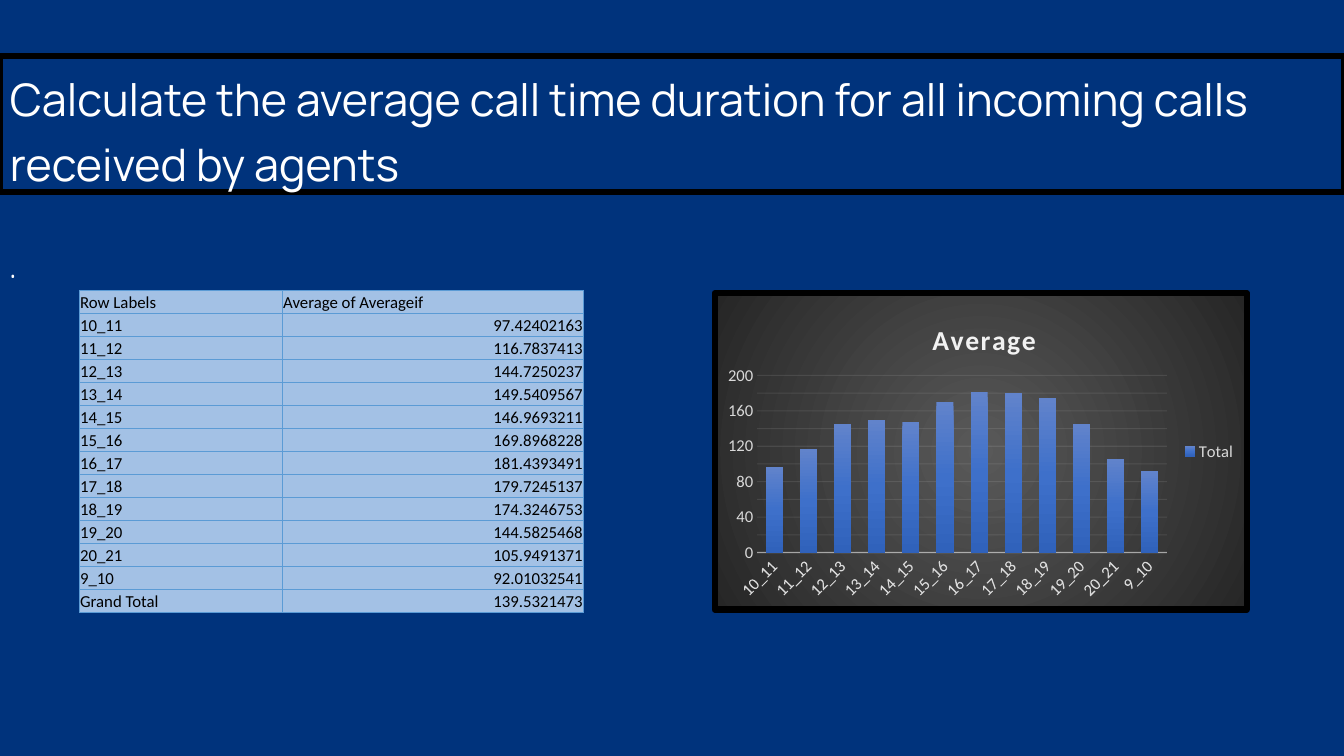
from lxml import etree
from pptx import Presentation
from pptx.chart.data import CategoryChartData
from pptx.dml.color import RGBColor
from pptx.enum.chart import XL_CHART_TYPE as ChartType
from pptx.enum.chart import XL_LEGEND_POSITION as LegendPosition
from pptx.enum.chart import XL_TICK_MARK as TickMark
from pptx.enum.shapes import MSO_SHAPE as ShapeType
from pptx.enum.text import MSO_ANCHOR as Anchor
from pptx.enum.text import MSO_AUTO_SIZE as AutoSize
from pptx.enum.text import PP_ALIGN as Align
from pptx.oxml import parse_xml
from pptx.oxml.ns import nsdecls, qn
from pptx.util import Pt

NAVY = RGBColor(0x00, 0x33, 0x7C)
WHITE = RGBColor(0xFF, 0xFF, 0xFF)
BLACK = RGBColor(0x00, 0x00, 0x00)
CELL_BLUE = RGBColor(0xA3, 0xC1, 0xE5)
BORDER_BLUE = RGBColor(0x5B, 0x9B, 0xD5)
LABEL_GREY = RGBColor(0xD9, 0xD9, 0xD9)
PALE_GREY = RGBColor(0xF2, 0xF2, 0xF2)
PANEL_MID = RGBColor(0x59, 0x59, 0x59)
PANEL_EDGE = RGBColor(0x26, 0x26, 0x26)
BAR_TOP = RGBColor(0x61, 0x83, 0xCB)
BAR_MIDDLE = RGBColor(0x3E, 0x70, 0xCA)
BAR_BOTTOM = RGBColor(0x30, 0x62, 0xBB)

SLIDE_WIDTH, SLIDE_HEIGHT = 960, 540
LABEL_FONT = {"name": "Calibri", "size": Pt(12), "bold": False}
AVERAGES = [
    ("10_11", "97.42402163"), ("11_12", "116.7837413"),
    ("12_13", "144.7250237"), ("13_14", "149.5409567"),
    ("14_15", "146.9693211"), ("15_16", "169.8968228"),
    ("16_17", "181.4393491"), ("17_18", "179.7245137"),
    ("18_19", "174.3246753"), ("19_20", "144.5825468"),
    ("20_21", "105.9491371"), ("9_10", "92.01032541"),
]
HEADER = ("Row Labels", "Average of Averageif")
TOTAL = ("Grand Total", "139.5321473")


def set_format(target, values):
    for name, value in values.items():
        setattr(target, name, value)


def set_font(font, color, values):
    set_format(font, values)
    font.color.rgb = color


def write_text(frame, text, color, font, paragraph_format):
    paragraph = frame.paragraphs[0]
    set_format(paragraph, paragraph_format)
    run = paragraph.add_run()
    run.text = text
    set_font(run.font, color, font)


def gradient_xml(stops, direction):
    marks = "".join(
        f'<a:gs pos="{position * 1000}"><a:srgbClr val="{color}"/></a:gs>'
        for position, color in stops)
    return (f'<a:gradFill {nsdecls("a")} rotWithShape="1">'
            f'<a:gsLst>{marks}</a:gsLst>{direction}</a:gradFill>')


def set_alpha(line, percent):
    color = line.fill._xPr.find(".//" + qn("a:srgbClr"))
    etree.SubElement(color, qn("a:alpha")).set("val", str(percent * 1000))


def set_layout(parent, mode_xml, **fractions):
    values = "".join(f'<c:{name} val="{value}"/>'
                     for name, value in fractions.items())
    layout = parse_xml(f'<c:layout {nsdecls("c")}><c:manualLayout>{mode_xml}'
                       f'<c:xMode val="edge"/><c:yMode val="edge"/>{values}'
                       '</c:manualLayout></c:layout>')
    for old in parent.findall(qn("c:layout")):
        parent.remove(old)
    before = parent.find(qn("c:tx"))
    if before is None:
        parent.insert(0, layout)
    else:
        before.addnext(layout)


def add_heading(slide, text):
    shape = slide.shapes.add_shape(
        ShapeType.RECTANGLE, Pt(0), Pt(40), Pt(SLIDE_WIDTH), Pt(97))
    shape.shadow.inherit = False
    shape.fill.background()
    shape.line.color.rgb = BLACK
    shape.line.width = Pt(4.5)
    set_format(shape.text_frame, {
        "word_wrap": True, "auto_size": AutoSize.SHAPE_TO_FIT_TEXT,
        "vertical_anchor": Anchor.TOP})
    write_text(shape.text_frame, text, WHITE,
               {"name": "Manrope", "size": Pt(32)},
               {"alignment": Align.LEFT, "line_spacing": 1.2})


def add_dot(slide):
    box = slide.shapes.add_textbox(Pt(0), Pt(171.5), Pt(SLIDE_WIDTH), Pt(36))
    set_format(box.text_frame, {
        "word_wrap": True, "auto_size": AutoSize.SHAPE_TO_FIT_TEXT})
    write_text(box.text_frame, ".", WHITE,
               {"name": "Quicksand", "size": Pt(24)}, {})


def add_cell_borders(cell):
    properties = cell._tc.get_or_add_tcPr()
    for side in ("lnL", "lnR", "lnT", "lnB"):
        properties.append(parse_xml(
            f'<a:{side} {nsdecls("a")} w="{Pt(0.5)}"><a:solidFill>'
            f'<a:srgbClr val="{BORDER_BLUE}"/></a:solidFill></a:{side}>'))


def add_average_table(slide):
    rows = [HEADER, *AVERAGES, TOTAL]
    row_height = 16.45
    table = slide.shapes.add_table(
        len(rows), 2, Pt(56.75), Pt(207.25), Pt(360),
        Pt(row_height * len(rows))).table
    set_format(table, {"first_row": False, "horz_banding": False})
    for column, width in zip(table.columns, (145, 215)):
        column.width = Pt(width)
    for row_index, values in enumerate(rows):
        table.rows[row_index].height = Pt(row_height)
        for column_index, text in enumerate(values):
            cell = table.cell(row_index, column_index)
            set_format(cell, {
                "margin_left": Pt(0.5), "margin_right": Pt(0.5),
                "margin_top": Pt(0.5), "margin_bottom": Pt(0),
                "vertical_anchor": Anchor.BOTTOM})
            add_cell_borders(cell)
            cell.fill.solid()
            cell.fill.fore_color.rgb = CELL_BLUE
            is_number = row_index and column_index
            write_text(cell.text_frame, text, BLACK, LABEL_FONT,
                       {"alignment": Align.RIGHT if is_number else Align.LEFT})


def style_axes(chart):
    for axis in (chart.category_axis, chart.value_axis):
        set_format(axis, {"major_tick_mark": TickMark.NONE,
                          "minor_tick_mark": TickMark.NONE})
        set_font(axis.tick_labels.font, LABEL_GREY, LABEL_FONT)
    category_line = chart.category_axis.format.line
    grid_line = chart.value_axis.major_gridlines.format.line
    for line, width, alpha in ((category_line, 1, 54), (grid_line, 0.75, 10)):
        line.color.rgb = PALE_GREY
        line.width = Pt(width)
        set_alpha(line, alpha)
    # Slanted category labels
    label_body = chart.category_axis._element.find(
        qn("c:txPr")).find(qn("a:bodyPr"))
    label_body.set("rot", str(-45 * 60000))
    set_format(chart.value_axis, {
        "minimum_scale": 0, "maximum_scale": 200, "major_unit": 20})
    chart.value_axis.format.line.fill.background()


def add_average_chart(slide):
    data = CategoryChartData()
    data.categories = [label for label, _ in AVERAGES]
    data.add_series("Total", [round(float(value)) for _, value in AVERAGES])
    chart = slide.shapes.add_chart(
        ChartType.COLUMN_CLUSTERED, Pt(508.25), Pt(207.25), Pt(384.5),
        Pt(230.4), data).chart
    set_font(chart.font, BLACK, {"name": "Calibri", "size": Pt(10)})
    style_axes(chart)

    # Columns
    plot = chart.plots[0]
    set_format(plot, {"gap_width": 100, "overlap": -24,
                      "vary_by_categories": False})
    bars = plot.series[0].format.fill
    bars.solid()
    bar_properties = bars._xPr
    bar_properties.replace(
        bar_properties.find(qn("a:solidFill")),
        parse_xml(gradient_xml(
            [(0, BAR_TOP), (50, BAR_MIDDLE), (100, BAR_BOTTOM)],
            '<a:lin ang="5400000" scaled="0"/>')))

    # Title and legend
    chart.has_title = True
    write_text(chart.chart_title.text_frame, "Average", PALE_GREY,
               {"name": "Calibri", "size": Pt(20), "bold": True}, {})
    title_run = chart.chart_title.text_frame.paragraphs[0].runs[0]
    title_run.font._element.set("spc", "100")
    chart.has_legend = True
    set_format(chart.legend, {"position": LegendPosition.RIGHT,
                              "include_in_layout": False})
    set_font(chart.legend.font, LABEL_GREY, LABEL_FONT)

    # Placement and dark panel
    chart_part = chart._chartSpace.find(qn("c:chart"))
    set_layout(chart_part.find(qn("c:title")), "", x=0.4, y=0.07)
    set_layout(chart_part.find(qn("c:plotArea")),
               '<c:layoutTarget val="inner"/>', x=0.08, y=0.26, w=0.77, h=0.56)
    panel_fill = gradient_xml(
        [(0, PANEL_MID), (100, PANEL_EDGE)],
        '<a:path path="circle">'
        '<a:fillToRect l="50000" t="50000" r="50000" b="50000"/></a:path>')
    chart_part.addnext(parse_xml(
        f'<c:spPr {nsdecls("c", "a")}>{panel_fill}<a:ln w="{Pt(4.5)}">'
        f'<a:solidFill><a:srgbClr val="{BLACK}"/></a:solidFill><a:round/>'
        '</a:ln></c:spPr>'))


def main():
    presentation = Presentation()
    set_format(presentation, {"slide_width": Pt(SLIDE_WIDTH),
                              "slide_height": Pt(SLIDE_HEIGHT)})
    slide = presentation.slides.add_slide(presentation.slide_layouts[6])
    slide.background.fill.solid()
    slide.background.fill.fore_color.rgb = NAVY
    add_heading(slide, "Calculate the average call time duration for all "
                       "incoming calls received by agents")
    add_dot(slide)
    add_average_chart(slide)
    add_average_table(slide)
    presentation.save("out.pptx")


if __name__ == "__main__":
    main()
